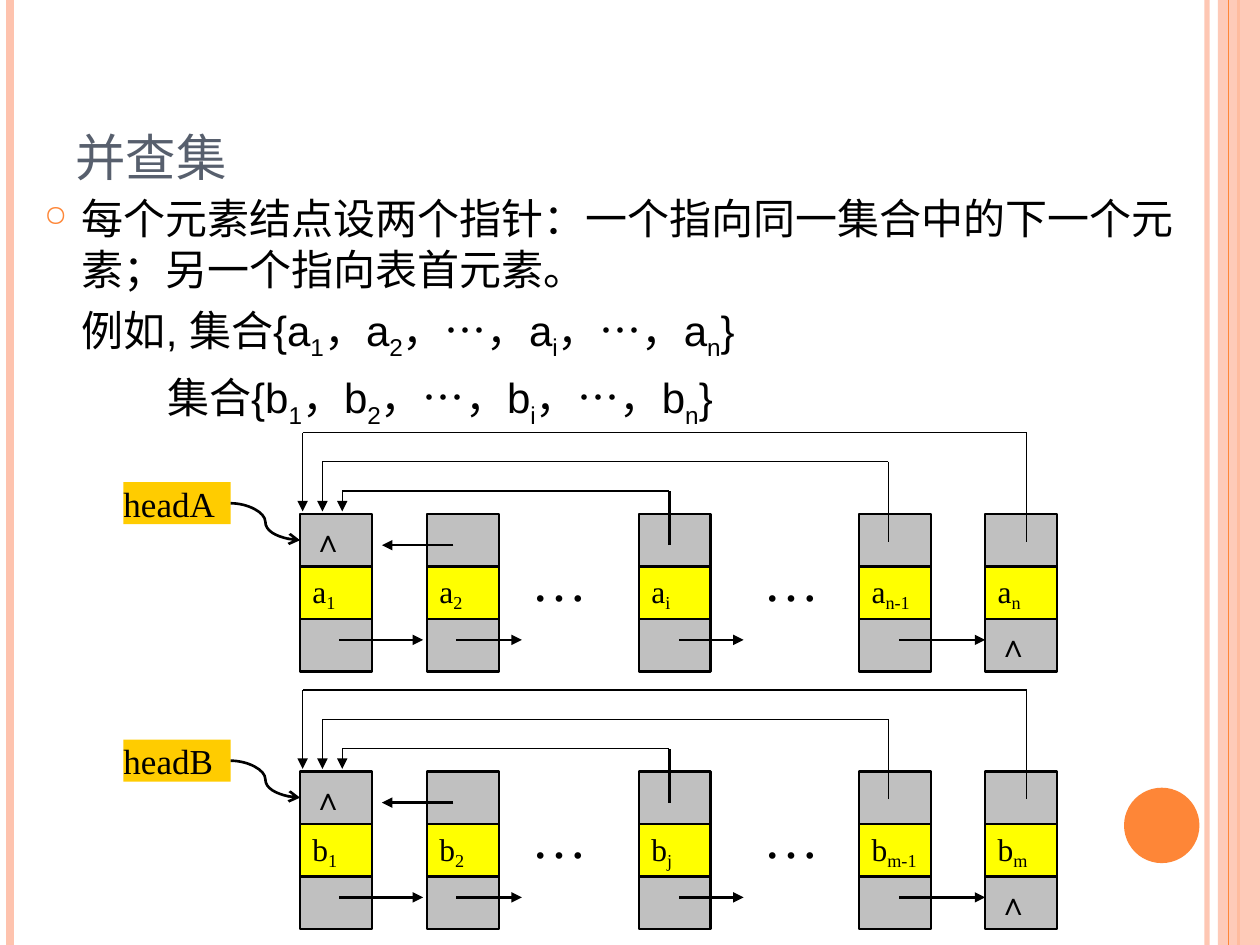
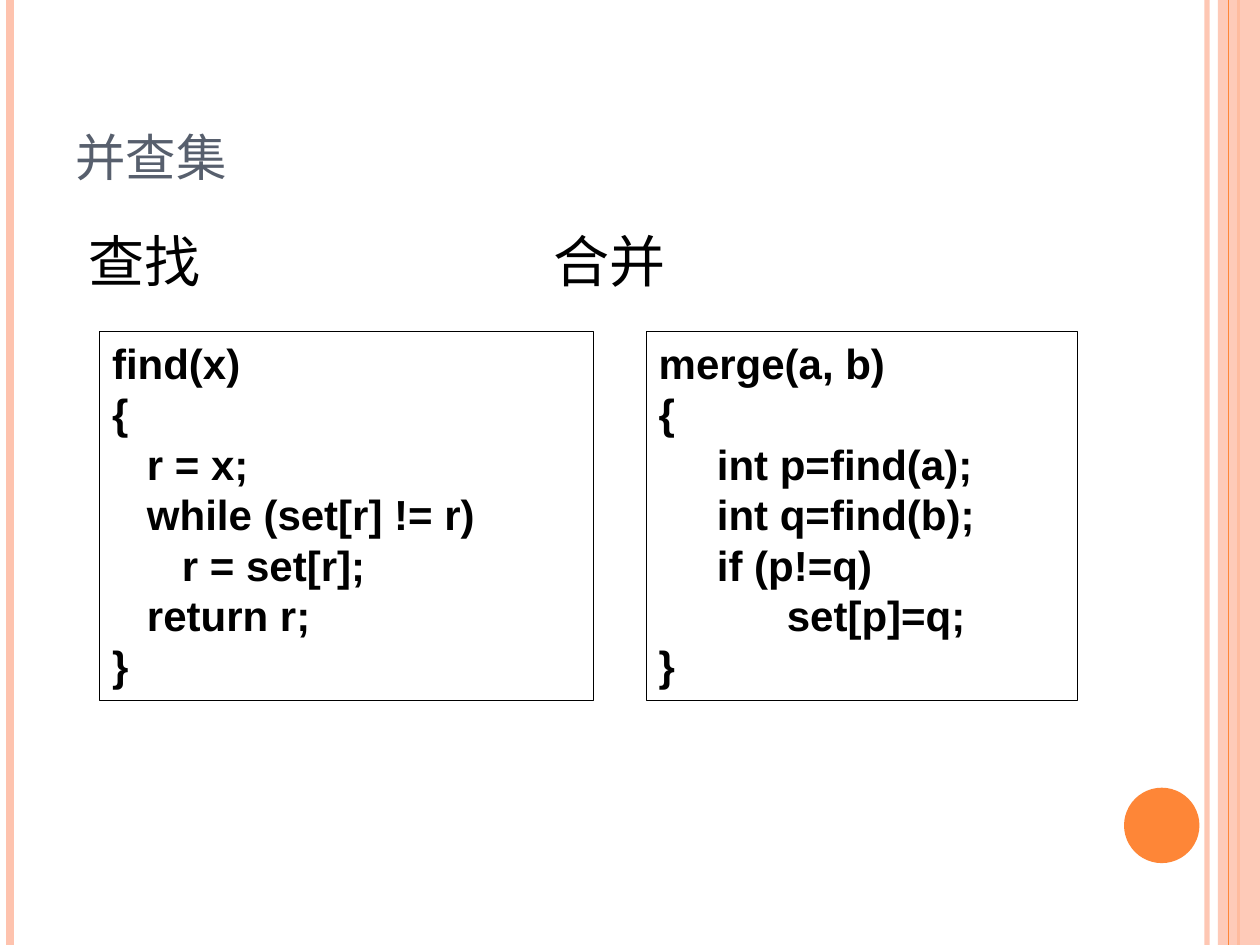
from lxml import etree
from pptx import Presentation
from pptx.dml.color import RGBColor
from pptx.enum.shapes import MSO_CONNECTOR as CONN, MSO_SHAPE as SHAPE
from pptx.enum.text import MSO_ANCHOR as ANCHOR, PP_ALIGN as ALIGN
from pptx.oxml.ns import qn
from pptx.util import Cm, Pt

WIDTH, HEIGHT = 25.4, 19.05
SANS, SERIF = "Arial", "Times New Roman"
BLACK, ORANGE, PEACH, SLATE = "000000", "FE8637", "FEC3AE", "575F6D"
GOLD, YELLOW, GREY = "FFCC00", "FFFF00", "C0C0C0"
CELL_W, CELL_H = 1.45, 1.06


def rgb(value):
    return RGBColor.from_string(value)


def sub_element(parent, tag, **attrs):
    return etree.SubElement(parent, qn(tag), **attrs)


def set_alpha(sp, percent):
    for color in list(sp._element.spPr.iter(qn("a:srgbClr"))):
        sub_element(color, "a:alpha", val=str(percent * 1000))


class Deck:
    def __init__(self):
        self.prs = Presentation()
        self.prs.slide_width, self.prs.slide_height = Cm(WIDTH), Cm(HEIGHT)
        self.s = None

    def new_slide(self, title):
        """Start a slide with the shared side bands, disc and title."""
        self.s = self.prs.slides.add_slide(self.prs.slide_layouts[6])
        for x, color, weight, alpha in ((24.33, PEACH, 3, 93),
                                        (0.21, PEACH, 4.5, 100),
                                        (24.97, ORANGE, 1.5, 100)):
            set_alpha(self.line(x, 0, x, HEIGHT, weight, color), alpha)
        set_alpha(self.shape(24.55, 0, 0.85, HEIGHT, PEACH), 87)
        self.line(24.77, 0, 24.77, HEIGHT, 0.75, ORANGE)
        self.shape(22.66, 15.88, 1.52, 1.52, ORANGE, kind=SHAPE.OVAL)
        tf = self.text_box(1.27, 0.76, 20.75, 3.18)
        tf.vertical_anchor = ANCHOR.BOTTOM
        self.runs(tf.paragraphs[0], [title], 36, color=SLATE, cap="small")

    def runs(self, p, parts, size, font=SANS, color=BLACK, bold=False,
             sub=-25, cap=None):
        """Add one run per part; a leading underscore marks a subscript."""
        for part in parts:
            r = p.add_run()
            r.text = part.removeprefix("_")
            r.font.size, r.font.bold = Pt(size), bold
            r.font.name = SERIF if part == "…" else font
            r.font.color.rgb = rgb(color)
            if part.startswith("_"):
                r._r.get_or_add_rPr().set("baseline", str(sub * 1000))
            if cap:
                r._r.get_or_add_rPr().set("cap", cap)

    def text_box(self, x, y, w, h):
        tf = self.s.shapes.add_textbox(Cm(x), Cm(y), Cm(w), Cm(h)).text_frame
        tf.word_wrap = True
        return tf

    def shape(self, x, y, w, h, fill=None, weight=0, kind=SHAPE.RECTANGLE):
        sp = self.s.shapes.add_shape(kind, Cm(x), Cm(y), Cm(w), Cm(h))
        sp.shadow.inherit = False
        if fill:
            sp.fill.solid()
            sp.fill.fore_color.rgb = rgb(fill)
        else:
            sp.fill.background()
        if weight:
            sp.line.color.rgb = rgb(BLACK)
            sp.line.width = Pt(weight)
        else:
            sp.line.fill.background()
        return sp

    def line(self, x1, y1, x2, y2, weight, color=BLACK, head=None,
             kind=CONN.STRAIGHT):
        cx = self.s.shapes.add_connector(kind, Cm(x1), Cm(y1), Cm(x2), Cm(y2))
        cx.line.color.rgb = rgb(color)
        cx.line.width = Pt(weight)
        if head:
            sub_element(cx.get_or_add_ln(), "a:tailEnd", type=head)
        sub_element(cx._element.spPr, "a:effectLst")
        return cx

    def cell(self, x, y, fill, parts=()):
        sp = self.shape(x, y, CELL_W, CELL_H, fill, 1.5)
        tf = sp.text_frame
        tf.word_wrap, tf.vertical_anchor = False, ANCHOR.MIDDLE
        tf.paragraphs[0].alignment = ALIGN.LEFT
        self.runs(tf.paragraphs[0], parts, 18, SERIF, sub=-20)
        return sp

    def no_inset(self, tf):
        tf.margin_left = tf.margin_top = tf.margin_right = tf.margin_bottom = 0

    def linked_list(self, top, head, letter, subs):
        """Draw a head label, five nodes and the links between them."""
        columns = (6.05, 8.61, 12.88, 17.32, 19.86)
        last = len(columns) - 1

        # Head label
        label = self.shape(2.49, top - 0.64, 2.16, 0.85, GOLD)
        tf = label.text_frame
        self.no_inset(tf)
        tf.vertical_anchor = ANCHOR.MIDDLE
        tf.paragraphs[0].alignment = ALIGN.LEFT
        self.runs(tf.paragraphs[0], [head], 20, SERIF)

        # Nodes: back pointer, value, next pointer
        for k, (x, sub) in enumerate(zip(columns, subs)):
            back = self.cell(x, top, GREY, ["∧"] if k == 0 else [])
            self.cell(x, top + CELL_H, YELLOW, [letter, "_" + sub])
            self.cell(x, top + 2 * CELL_H, GREY, ["∧"] if k == last else [])
            if k == 0:
                curve = self.line(4.65, top - 0.22, x, top + 0.53, 1.5,
                                  head="arrow", kind=CONN.CURVE)
                curve.begin_connect(label, 3)
                curve.end_connect(back, 1)

        # Next links and the short back link of the second node
        y = top + 2.54
        for x1, x2 in ((6.84, 8.53), (9.2, 10.52), (13.69, 14.99),
                       (18.13, 19.86)):
            self.line(x1, y, x2, y, 1.5, head="triangle")
        self.line(9.14, top + 0.63, 7.7, top + 0.63, 1.5, head="triangle")

        # Gaps in the chain
        for x in (10.72, 15.39):
            tf = self.text_box(x, top + 0.63, 1.47, 1.35)
            self.no_inset(tf)
            self.runs(tf.paragraphs[0], ["…"], 32, SERIF)

        # Long back links to the first node, the outermost last
        for k, (x, start, weight) in enumerate(((13.49, 0.63, 1.5),
                                                (17.91, 0.56, 0.75),
                                                (20.7, 0.56, 0.75))):
            y, entry = top - 0.46 - 0.59 * k, 6.9 - 0.4 * k
            self.line(x, top + start, x, y, weight)
            self.line(x, y, entry, y, 0.75)
            self.line(entry, y, entry, top - 0.05, 0.75, head="triangle")

    def code(self, x, w, text):
        tf = self.shape(x, 6.68, w, 7.44, weight=0.75).text_frame
        tf.word_wrap, tf.vertical_anchor = True, ANCHOR.TOP
        for k, row in enumerate(text.strip().split("\n")):
            p = tf.add_paragraph() if k else tf.paragraphs[0]
            p.alignment = ALIGN.LEFT
            self.runs(p, [row], 24, bold=True)


def set_parts(intro, letter):
    """Text of a set such as {a1，a2，…，ai，…，an}."""
    nxt = "，" + letter
    return [intro + "{" + letter, "_1", nxt, "_2", "，", "…", nxt, "_i",
            "，", "…", nxt, "_n", "}"]


def structure_slide(deck):
    deck.new_slide("并查集")
    tf = deck.text_box(0.64, 3.76, 23.93, 5.36)
    rows = ((["每个元素结点设两个指针：一个指向同一集合中的下一个元素；"
              "另一个指向表首元素。"], 0.76),
            (set_parts("例如, 集合", "a"), 0.76),
            (set_parts("集合", "b"), 2.48))
    for k, (parts, indent) in enumerate(rows):
        p = tf.add_paragraph() if k else tf.paragraphs[0]
        pPr = p._p.get_or_add_pPr()
        pPr.set("marL", str(Cm(indent)))
        if k:
            p.space_before = Pt(6)
        else:
            pPr.set("indent", str(-Cm(indent)))
            sub_element(sub_element(pPr, "a:buClr"), "a:srgbClr", val=ORANGE)
            sub_element(pPr, "a:buSzPct", val="70000")
            sub_element(pPr, "a:buChar", char="○")
        deck.runs(p, parts, 24)
    deck.linked_list(10.36, "headA", "a", ("1", "2", "i", "n-1", "n"))
    deck.linked_list(15.55, "headB", "b", ("1", "2", "j", "m-1", "m"))


FIND = """
find(x)
{
   r = x;
   while (set[r] != r)
      r = set[r];
   return r;
}
"""
MERGE = """
merge(a, b)
{
     int p=find(a);
     int q=find(b);
     if (p!=q)
           set[p]=q;
}
"""


def operations_slide(deck):
    deck.new_slide("并查集")
    # Two headings on one line, set apart by a tab stop
    tf = deck.text_box(1.27, 4.45, 20.75, 1.8)
    tf.margin_left = Cm(0.51)
    p = tf.paragraphs[0]
    tabs = sub_element(p._p.get_or_add_pPr(), "a:tabLst")
    sub_element(tabs, "a:tab", pos=str(Cm(9.37)), algn="l")
    deck.runs(p, ["查找\t合并"], 32)
    deck.code(2.01, 9.96, FIND)
    deck.code(13.03, 8.69, MERGE)


def main():
    deck = Deck()
    structure_slide(deck)
    operations_slide(deck)
    deck.prs.save("out.pptx")


if __name__ == "__main__":
    main()
